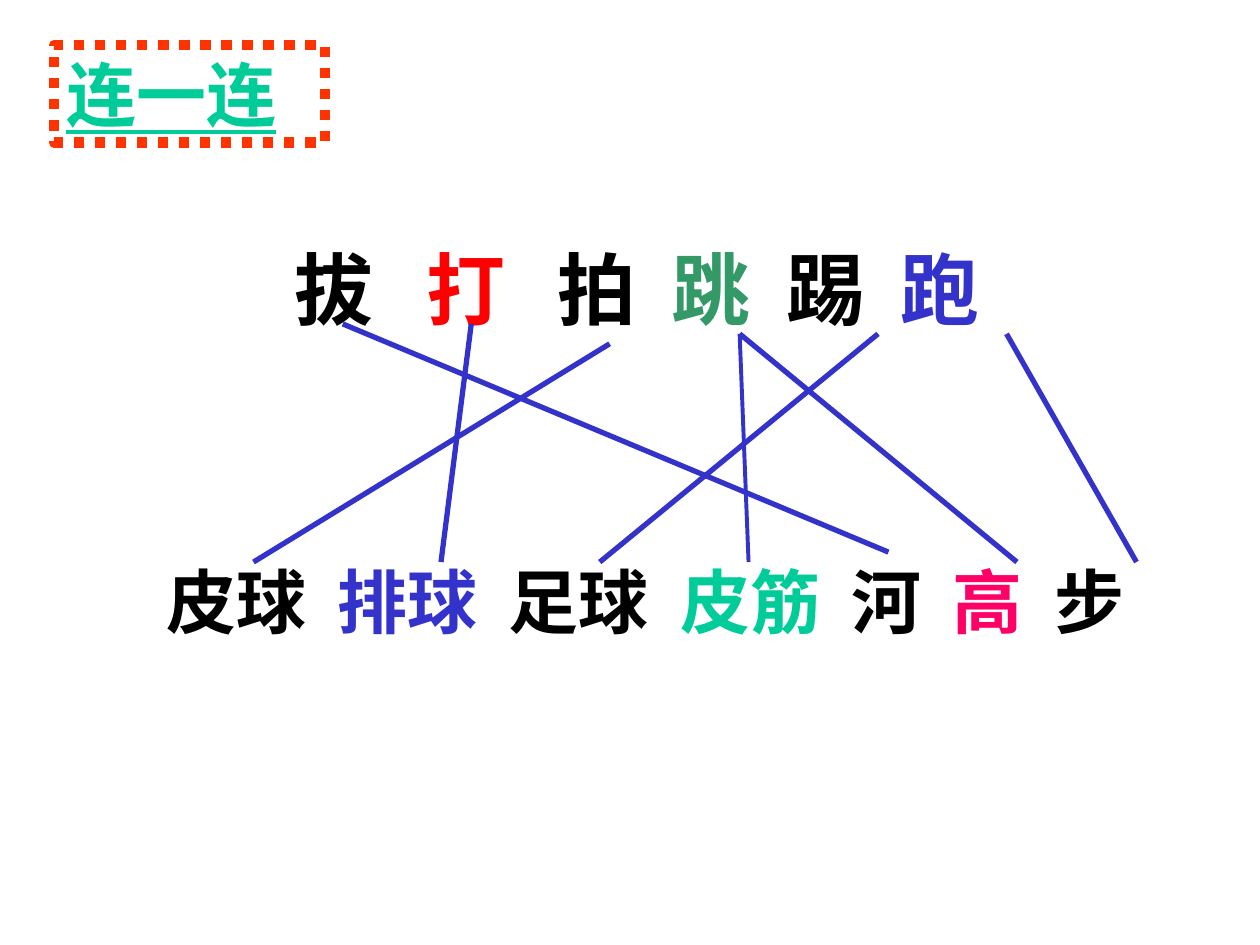
from lxml import etree
from pptx import Presentation
from pptx.dml.color import RGBColor
from pptx.enum.dml import MSO_LINE
from pptx.enum.shapes import MSO_CONNECTOR
from pptx.enum.text import MSO_ANCHOR, MSO_AUTO_SIZE, PP_ALIGN
from pptx.oxml.ns import qn
from pptx.util import Cm, Pt

STRAIGHT = MSO_CONNECTOR.STRAIGHT
DOTTED = MSO_LINE.ROUND_DOT
TOP = MSO_ANCHOR.TOP
FIXED = MSO_AUTO_SIZE.NONE
LEFT = PP_ALIGN.LEFT

BLACK, BLUE, TEAL = "000000", "3333CC", "00CC99"
CJK_FONT = "Noto Sans CJK SC"
SPACE_RATIO = 0.224

VERBS = [("拔", BLACK), ("打", "FF0000"), ("拍", BLACK),
         ("跳", "339966"), ("踢", BLACK), ("跑", BLUE)]
NOUNS = [("皮球", BLACK), ("排球", BLUE), ("足球", BLACK), ("皮筋", TEAL),
         ("河", BLACK), ("高", "FF0066"), ("步", BLACK)]
VERB_GAPS = [3, 3, 2, 2, 2]
NOUN_GAPS = [2] * 6

MATCHES = [
    ((6.91, 6.53), (17.91, 11.13), 3),
    ((12.29, 6.93), (5.11, 11.33), 3),
    ((9.5, 6.53), (8.89, 11.33), 3),
    ((14.91, 6.73), (20.5, 11.33), 3),
    ((17.7, 6.73), (12.09, 11.33), 3),
    ((20.29, 6.73), (22.91, 11.33), 3),
    ((14.91, 6.73), (15.09, 11.33), 2.25),
]


def color(value):
    return RGBColor.from_string(value)


def set_attributes(target, values):
    for name, value in values.items():
        setattr(target, name, value)


class MatchingSlide:
    frame_format = {
        "margin_left": Cm(0.25), "margin_right": Cm(0.25),
        "margin_top": Cm(0.13), "margin_bottom": Cm(0.13),
        "word_wrap": True, "auto_size": FIXED, "vertical_anchor": TOP,
    }

    def __init__(self, slide):
        self.slide = slide

    def add_text(self, paragraph, text, size, text_color, font="Arial", underline=False):
        run = paragraph.add_run()
        run.text = text
        set_attributes(run.font, {"name": font, "size": Pt(size),
                                  "bold": True, "underline": underline})
        run.font.color.rgb = color(text_color)
        east_asian = etree.SubElement(run.font._element, qn("a:ea"))
        east_asian.set("typeface", CJK_FONT)

    def title(self, text, left, top, width, height):
        shape = self.slide.shapes.title
        set_attributes(shape, {"left": Cm(left), "top": Cm(top),
                               "width": Cm(width), "height": Cm(height)})
        set_attributes(shape.line, {"width": Pt(6), "dash_style": DOTTED})
        shape.line.color.rgb = color("FF3300")
        set_attributes(shape.text_frame, self.frame_format)
        paragraph = shape.text_frame.paragraphs[0]
        paragraph.alignment = LEFT
        self.add_text(paragraph, text, 40, TEAL, CJK_FONT, True)

    def word_row(self, words, gaps, size, left, top, width, height):
        shape = self.slide.shapes.add_textbox(Cm(left), Cm(top), Cm(width), Cm(height))
        set_attributes(shape.text_frame, self.frame_format)
        paragraph = shape.text_frame.paragraphs[0]
        properties = paragraph._p.get_or_add_pPr()
        tab_list = etree.SubElement(properties, qn("a:tabLst"))
        position = 0
        for (word, _), gap in zip(words, gaps):
            position += Pt(size) * (len(word) + gap * SPACE_RATIO)
            tab = etree.SubElement(tab_list, qn("a:tab"))
            tab.set("pos", str(round(position)))
            tab.set("algn", "l")
        for index, (word, word_color) in enumerate(words):
            self.add_text(paragraph, "\t" + word if index else word, size, word_color)

    def match_line(self, start, end, width):
        points = [Cm(value) for value in (*start, *end)]
        line = self.slide.shapes.add_connector(STRAIGHT, *points)
        line.line.width = Pt(width)
        line.line.color.rgb = color(BLUE)
        etree.SubElement(line._element.spPr, qn("a:effectLst"))


def main():
    presentation = Presentation()
    presentation.slide_width = Cm(25.4)
    presentation.slide_height = Cm(19.05)
    layout = presentation.slide_layouts[5]
    page = MatchingSlide(presentation.slides.add_slide(layout))
    page.title("连一连", 1.09, 0.91, 5.46, 1.96)
    page.word_row(VERBS, VERB_GAPS, 45, 5.69, 4.72, 16.41, 2.16)
    page.word_row(NOUNS, NOUN_GAPS, 40, 3.1, 11.13, 22.91, 1.96)
    for start, end, width in MATCHES:
        page.match_line(start, end, width)
    presentation.save("out.pptx")


if __name__ == "__main__":
    main()
